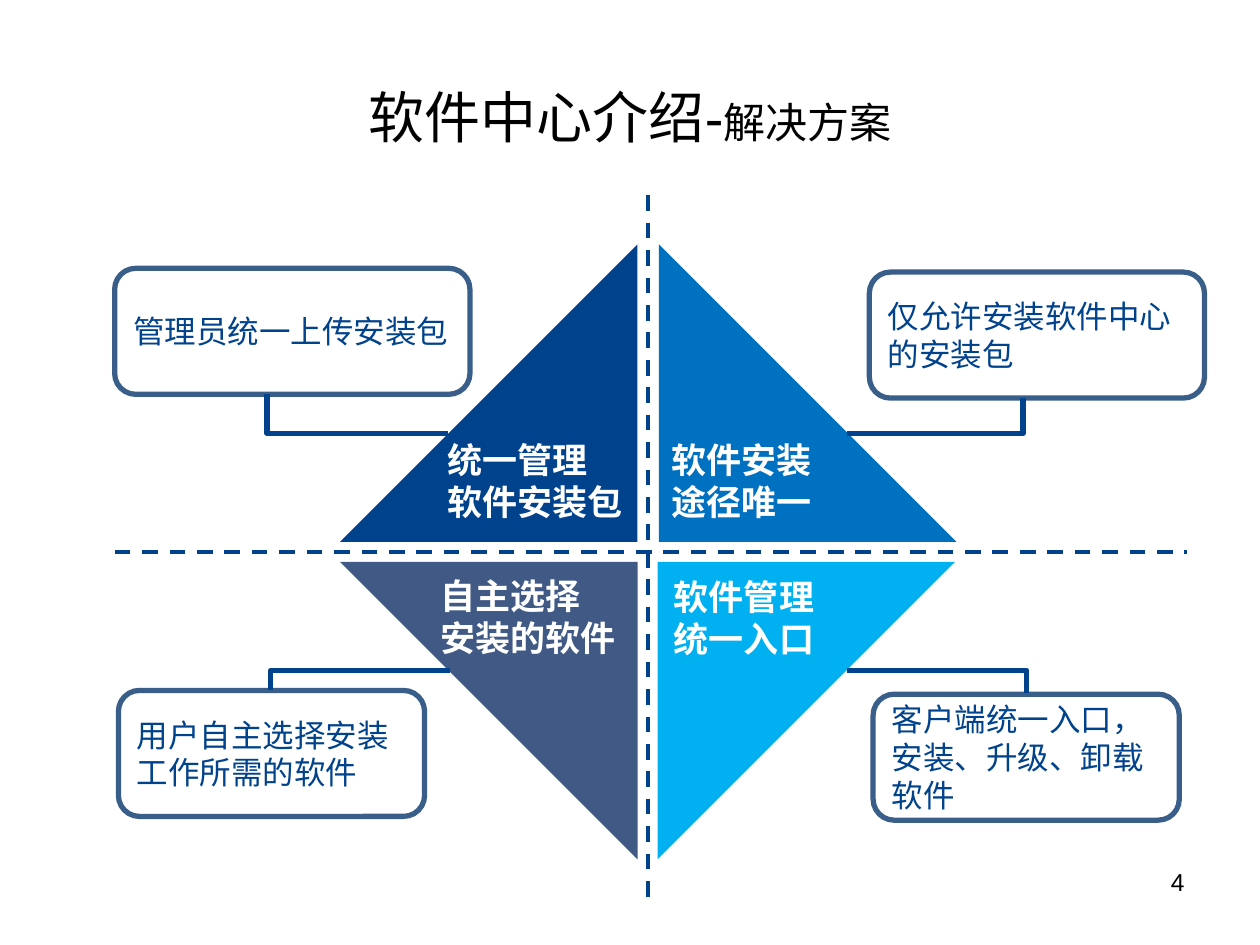
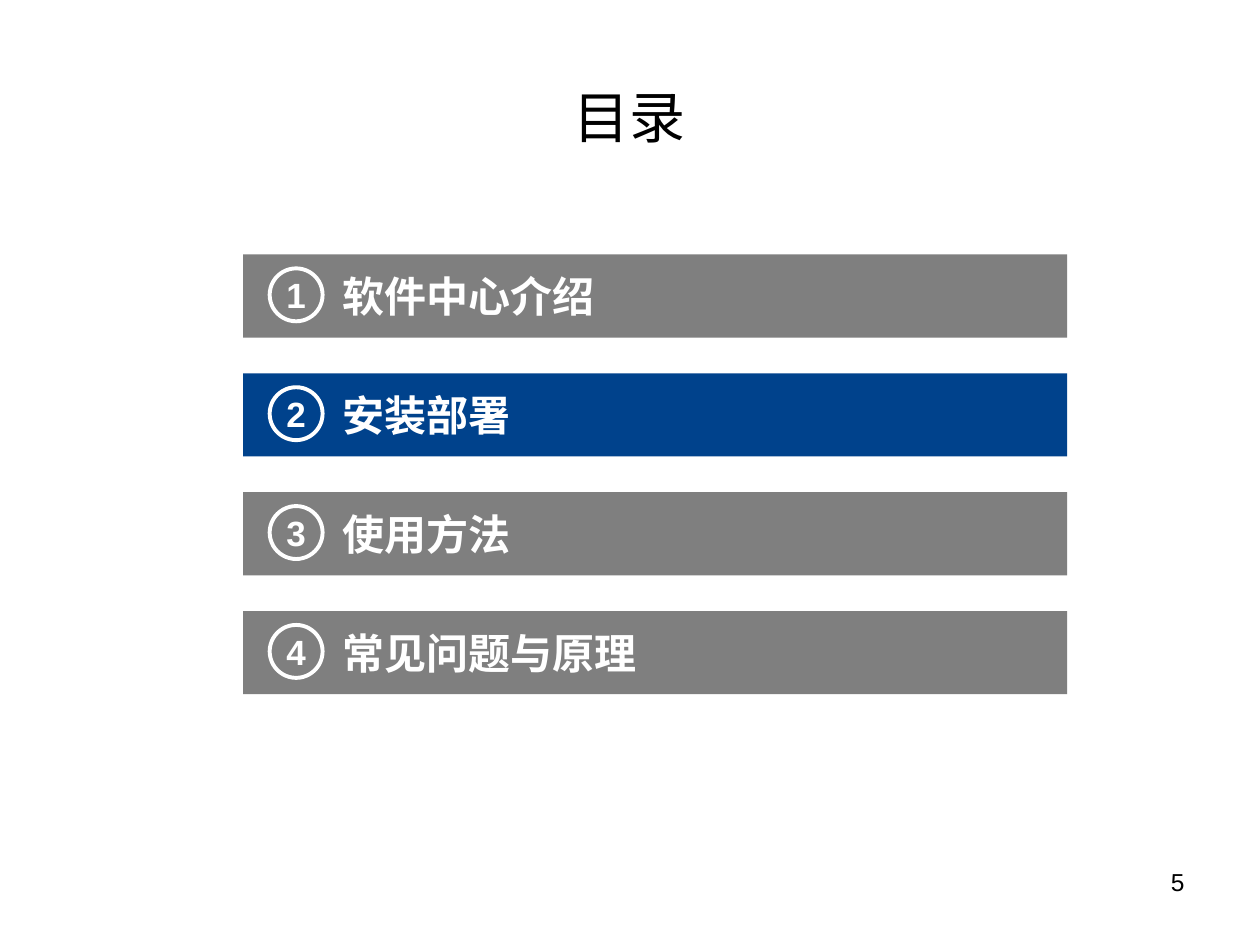
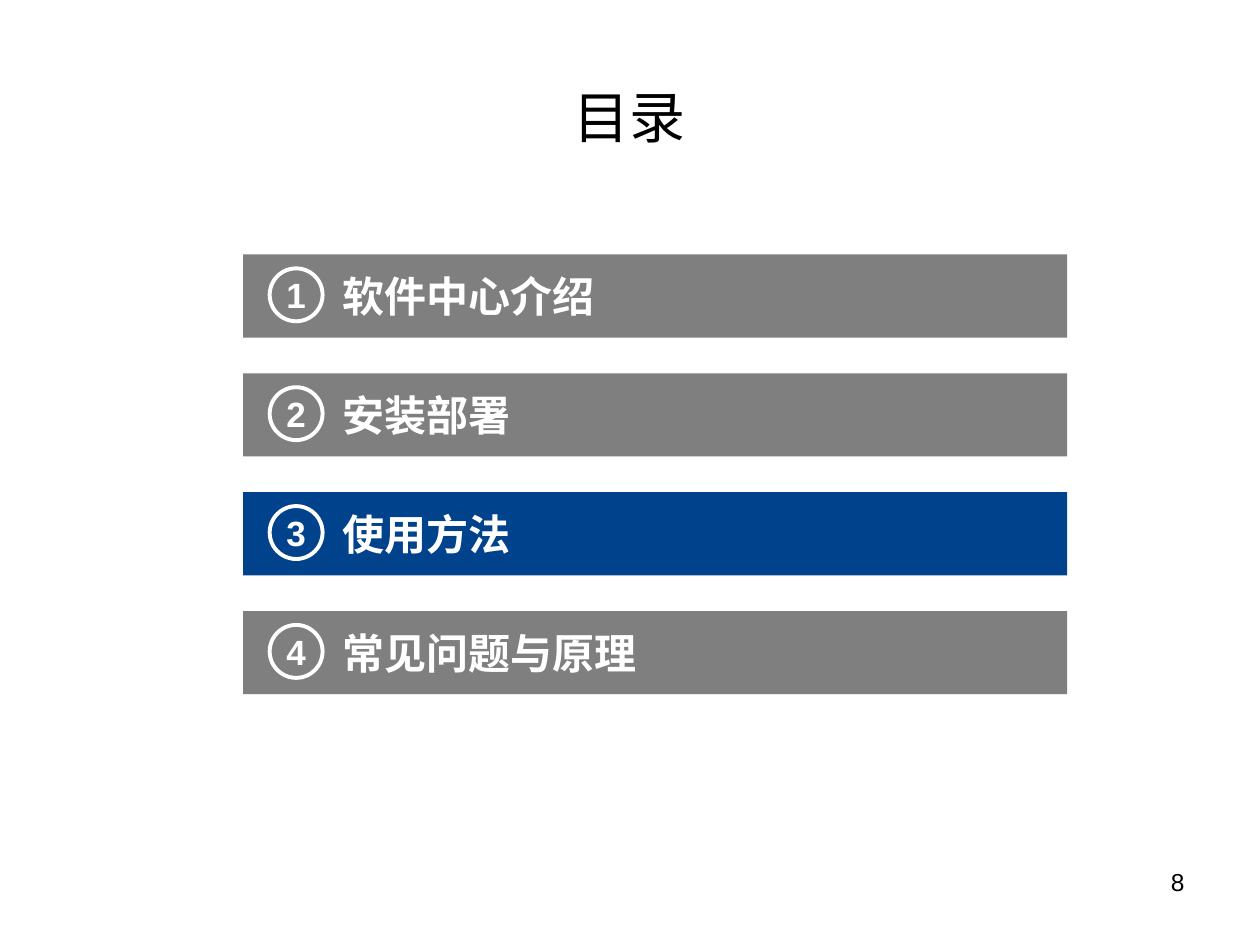
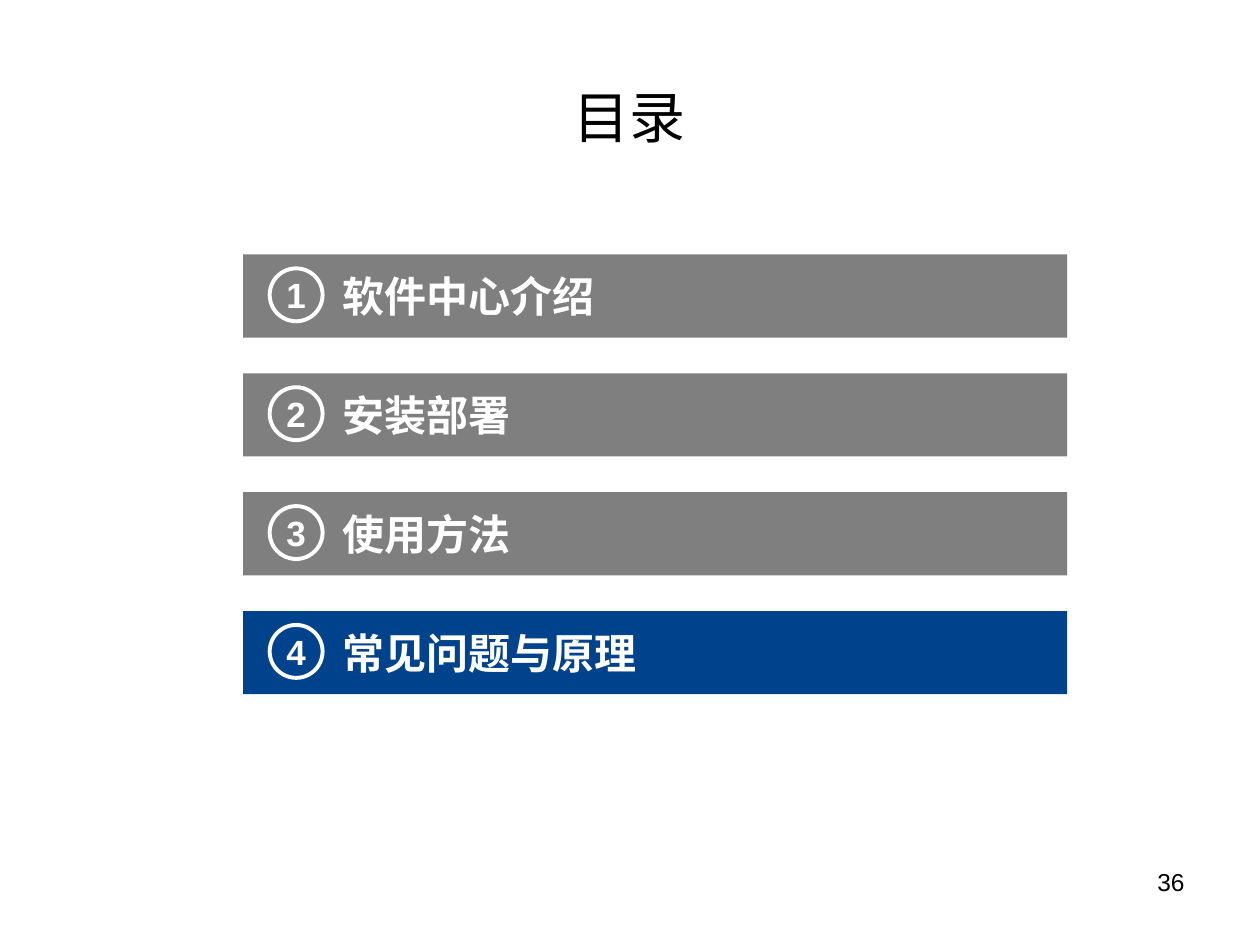
from dataclasses import dataclass

from lxml import etree
from pptx import Presentation
from pptx.dml.color import RGBColor
from pptx.enum import dml, shapes, text
from pptx.oxml import ns
from pptx.util import Inches, Pt


# Shared look: colours, fonts, type sizes and line widths
@dataclass(frozen=True)
class Theme:
    navy: str = "00428C"
    blue: str = "0070C0"
    sky: str = "00B0F0"
    slate: str = "405985"
    edge: str = "395E8A"
    gray: str = "7F7F7F"
    white: str = "FFFFFF"
    black: str = "000000"
    latin: str = "Arial"
    asian: str = "Noto Sans CJK SC"
    title: int = 32
    item: int = 24
    label: int = 20
    note: int = 18
    page: int = 14
    thin: float = 2.25
    thick: float = 3


@dataclass(frozen=True)
class Box:
    left: float
    top: float
    width: float
    height: float

    def args(self) -> tuple:
        return tuple(Inches(v) for v in (self.left, self.top, self.width, self.height))


@dataclass(frozen=True)
class Part:
    """One quarter of the diamond with its label, note and link."""
    corner: tuple
    turn: int
    color: str
    label: str
    spot: Box
    note: str
    frame: Box
    start: tuple
    end: tuple


LOOK = Theme()
KIND = shapes.MSO_SHAPE
ALIGN = text.PP_ALIGN
SIDE = 2.36

PARTS = [
    Part((2.7, 1.94), 270, LOOK.navy, "统一管理\n软件安装包", Box(3.45, 3.43, 1.66, 0.77),
         "管理员统一上传安装包", Box(0.91, 2.13, 2.82, 1), (3.56, 3.44), (2.12, 3.13)),
    Part((5.23, 1.94), 0, LOOK.blue, "软件安装\n途径唯一", Box(5.23, 3.43, 1.68, 0.77),
         "仅允许安装软件中心的安装包", Box(6.9, 2.16, 2.66, 1), (6.72, 3.44), (8.12, 3.16)),
    Part((2.7, 4.46), 180, LOOK.slate, "自主选择\n安装的软件", Box(3.4, 4.51, 1.62, 0.77),
         "用户自主选择安装工作所需的软件", Box(0.94, 5.48, 2.43, 1), (3.57, 5.32), (2.15, 5.48)),
    Part((5.22, 4.46), 90, LOOK.sky, "软件管理\n统一入口", Box(5.25, 4.52, 1.69, 0.77),
         "客户端统一入口，安装、升级、卸载软件", Box(6.93, 5.51, 2.43, 1), (6.72, 5.32), (8.15, 5.5)),
]
AXES = [((5.14, 1.55), (5.14, 7.14)), ((0.91, 4.38), (9.42, 4.38))]
ITEMS = ["软件中心介绍", "安装部署", "使用方法", "常见问题与原理"]
FIRST, LAST = 2.02, 4.85
AGENDAS = [(2, "5"), (3, "8"), (4, "36")]


# Text and shape helpers
def style(run, size: int, color: str, bold: bool = False, face: str = LOOK.latin) -> None:
    run.font.size = Pt(size)
    run.font.bold = bold
    run.font.name = face
    run.font.color.rgb = RGBColor.from_string(color)
    asian = etree.SubElement(run.font._element, ns.qn("a:ea"))
    asian.set("typeface", LOOK.asian)


def write(shape, words: str, size: int, color: str, bold: bool = False,
          face: str = LOOK.latin, align=ALIGN.LEFT) -> None:
    frame = shape.text_frame
    frame.word_wrap = True
    frame.text = words
    for para in frame.paragraphs:
        para.alignment = align
        for run in para.runs:
            style(run, size, color, bold, face)


def inset(shape, left: float, top: float, right: float, bottom: float) -> None:
    frame = shape.text_frame
    frame.margin_left, frame.margin_top = Inches(left), Inches(top)
    frame.margin_right, frame.margin_bottom = Inches(right), Inches(bottom)


def draw(host, kind, box: Box, fill: str = "", line: str = "", width: float = 0):
    shape = host.shapes.add_shape(kind, *box.args())
    shape.shadow.inherit = False
    if fill:
        shape.fill.solid()
        shape.fill.fore_color.rgb = RGBColor.from_string(fill)
    else:
        shape.fill.background()
    if line:
        shape.line.color.rgb = RGBColor.from_string(line)
        shape.line.width = Pt(width)
    else:
        shape.line.fill.background()
    shape.text_frame.vertical_anchor = text.MSO_ANCHOR.MIDDLE
    return shape


def link(slide, kind, start: tuple, end: tuple, width: float):
    line = slide.shapes.add_connector(kind, *(Inches(v) for v in start + end))
    line.line.color.rgb = RGBColor.from_string(LOOK.navy)
    line.line.width = Pt(width)
    etree.SubElement(line._element.spPr, ns.qn("a:effectLst"))
    return line


# Title and page number of every slide
def start(deck, words: str, page: str, extra: str = ""):
    slide = deck.slides.add_slide(deck.slide_layouts[5])
    title = slide.shapes.title
    title.left, title.top, title.width, title.height = Box(0.5, 0.3, 9, 1.25).args()
    title.text_frame.vertical_anchor = text.MSO_ANCHOR.MIDDLE
    write(title, words, LOOK.title, LOOK.black, align=ALIGN.CENTER)
    if extra:
        run = title.text_frame.paragraphs[0].add_run()
        run.text = extra
        style(run, LOOK.item, LOOK.black)
    number = slide.shapes.add_textbox(*Box(7.17, 6.83, 2.33, 0.52).args())
    write(number, page, LOOK.page, LOOK.black, align=ALIGN.RIGHT)
    return slide


# Four-part diamond
def diamond(deck) -> None:
    slide = start(deck, "软件中心介绍-", "4", "解决方案")
    for head, tail in AXES:
        axis = link(slide, shapes.MSO_CONNECTOR.STRAIGHT, head, tail, LOOK.thin)
        axis.line.dash_style = dml.MSO_LINE.DASH
    for part in PARTS:
        wedge = draw(slide, KIND.RIGHT_TRIANGLE, Box(*part.corner, SIDE, SIDE), part.color)
        wedge.rotation = part.turn
    for part in PARTS:
        label = slide.shapes.add_textbox(*part.spot.args())
        write(label, part.label, LOOK.label, LOOK.white, True, LOOK.asian)
        label.text_frame.auto_size = text.MSO_AUTO_SIZE.SHAPE_TO_FIT_TEXT
        note = draw(slide, KIND.ROUNDED_RECTANGLE, part.frame, line=LOOK.edge, width=LOOK.thick)
        write(note, part.note, LOOK.note, LOOK.navy, face=LOOK.asian)
        # A single bend: across from the diamond, then up or down to the note
        bend = link(slide, shapes.MSO_CONNECTOR.ELBOW, part.start, part.end, LOOK.thick)
        bend._element.spPr.find(ns.qn("a:prstGeom")).set("prst", "bentConnector2")


# Agenda with one chapter lit
def agenda(deck, lit: int, page: str) -> None:
    slide = start(deck, "目录", page)
    step = (LAST - FIRST) / (len(ITEMS) - 1)
    for index, item in enumerate(ITEMS):
        top = FIRST + index * step
        color = LOOK.navy if index + 1 == lit else LOOK.gray
        group = slide.shapes.add_group_shape()
        bar = draw(group, KIND.RECTANGLE, Box(1.93, top, 6.54, 0.66), color)
        inset(bar, 0.79, 0.1, 0.2, 0.1)
        write(bar, item, LOOK.item, LOOK.white, True)
        disc = draw(group, KIND.OVAL, Box(2.14, top + 0.11, 0.42, 0.42),
                    color, LOOK.white, LOOK.thin)
        inset(disc, 0, 0, 0, 0)
        write(disc, str(index + 1), LOOK.label, LOOK.white, True, align=ALIGN.CENTER)


def main() -> None:
    deck = Presentation()
    deck.slide_width, deck.slide_height = Inches(10), Inches(7.5)
    diamond(deck)
    for lit, page in AGENDAS:
        agenda(deck, lit, page)
    deck.save("out.pptx")


if __name__ == "__main__":
    main()
